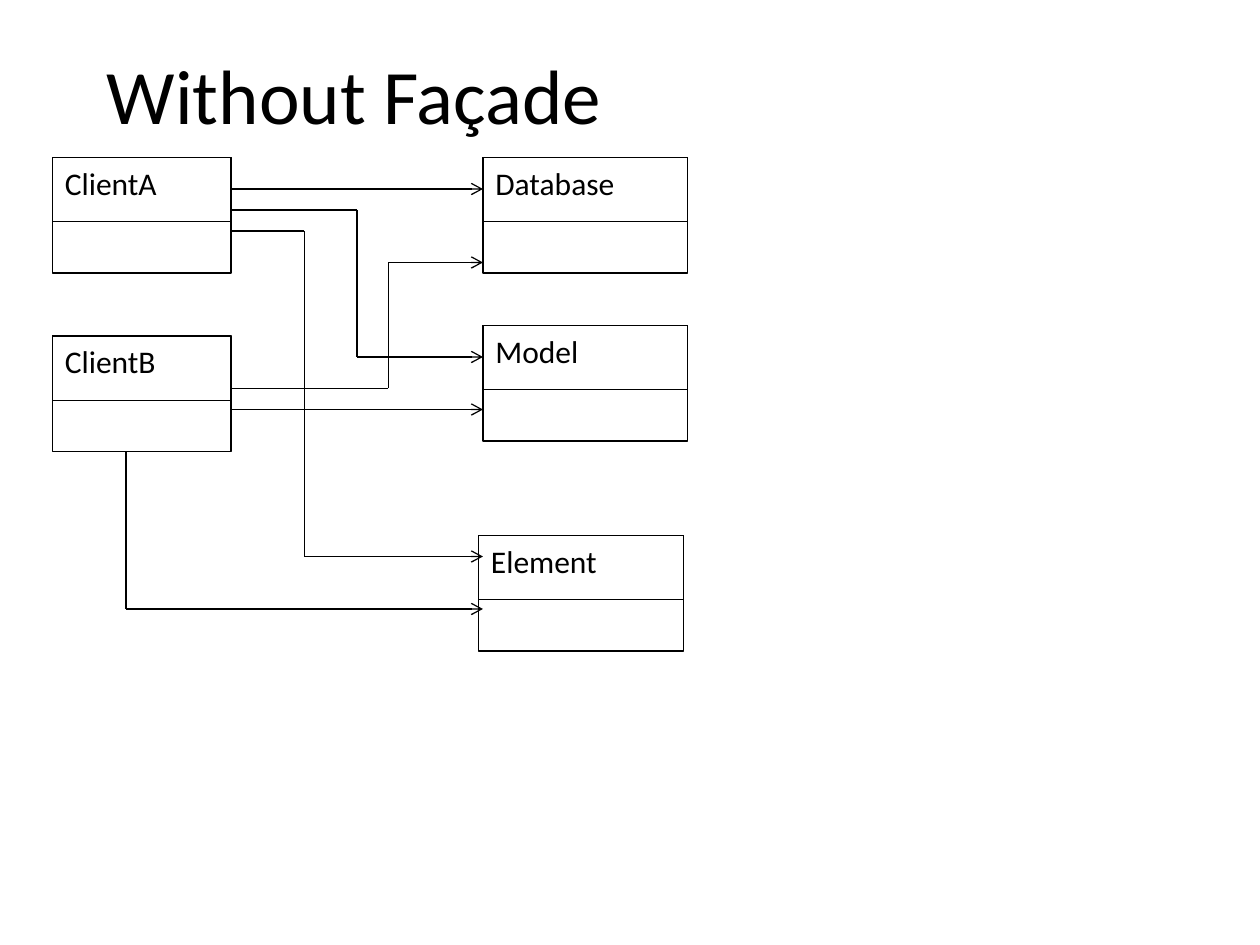
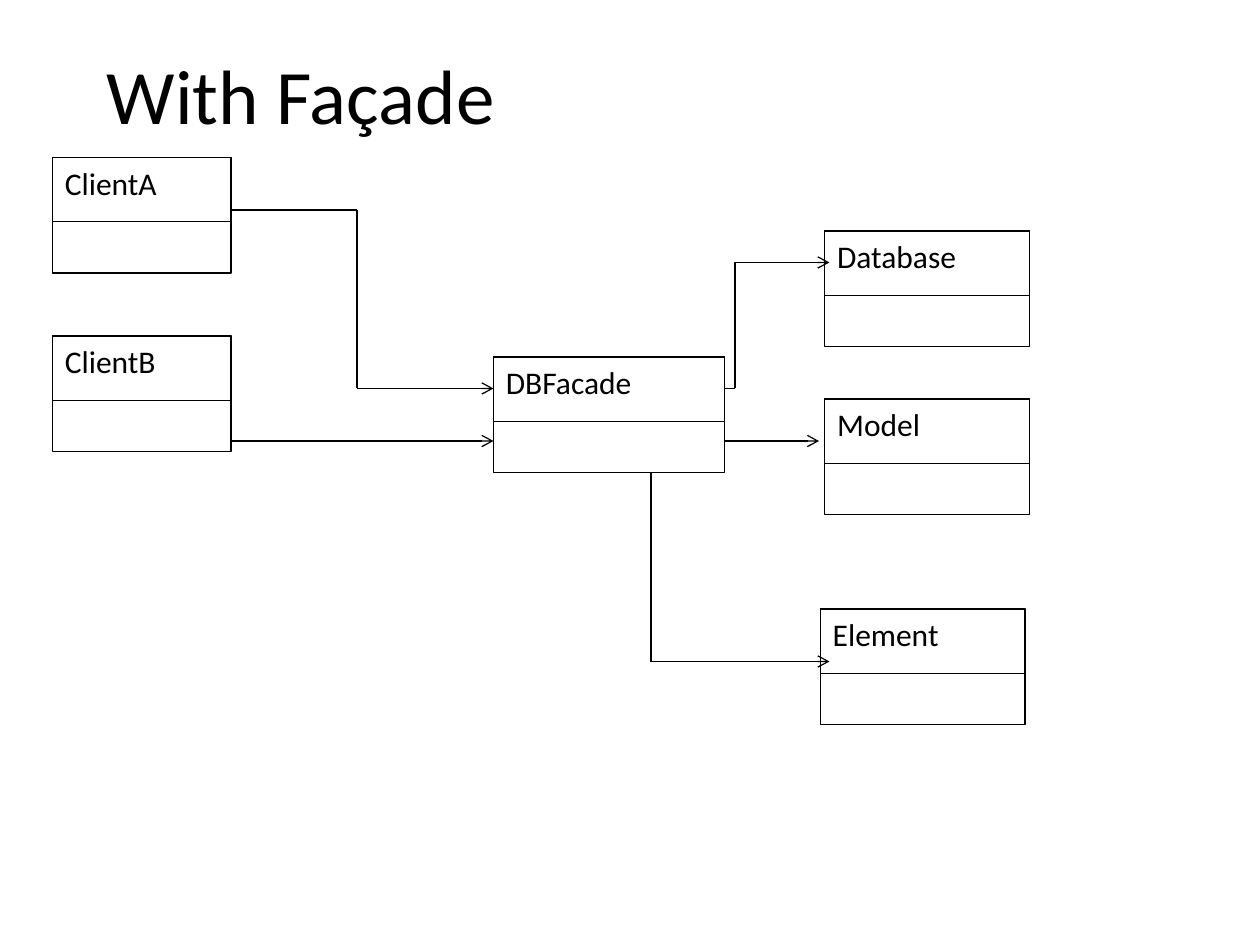
from dataclasses import dataclass
from itertools import pairwise

from lxml import etree
from pptx import Presentation
from pptx.dml.color import RGBColor
from pptx.enum.shapes import MSO_CONNECTOR, MSO_SHAPE
from pptx.enum.text import MSO_ANCHOR, PP_ALIGN
from pptx.oxml.ns import qn
from pptx.util import Pt

RECTANGLE = MSO_SHAPE.RECTANGLE
STRAIGHT = MSO_CONNECTOR.STRAIGHT
TOP, MIDDLE = MSO_ANCHOR.TOP, MSO_ANCHOR.MIDDLE
LEFT = PP_ALIGN.LEFT


@dataclass(frozen=True)
class Theme:
    ink: RGBColor = RGBColor(0, 0, 0)
    paper: RGBColor = RGBColor(255, 255, 255)
    font: str = "Calibri"
    title_size: float = 44
    class_size: float = 18
    line_width: float = 0.75


THEME = Theme()
BLANK_LAYOUT = 6

# Class box measures in points
CLASS_HEIGHT = 66
NAME_HEIGHT = 36.7
CLIENT_WIDTH = 102
SUBSYSTEM_WIDTH = 117
FACADE_WIDTH = 132

# Class boxes: name, left, top, width
CLIENTS = [
    ("ClientA", 30, 90, CLIENT_WIDTH),
    ("ClientB", 30, 192, CLIENT_WIDTH),
]
FACADE = ("DBFacade", 282, 204, FACADE_WIDTH)
# Subsystem classes: name, offset from the subsystem's corner
SUBSYSTEM = [("Database", 0, 0), ("Model", 0, 96), ("Element", -2.5, 216)]

# Routes: corner points, with the arrowhead on the last one
DIRECT_ROUTES = [
    [(132, 108), (276, 108)],
    [(132, 120), (204, 120), (204, 204), (276, 204)],
    [(132, 132), (174, 132), (174, 318), (276, 318)],
    [(132, 222), (222, 222), (222, 150), (276, 150)],
    [(132, 234), (276, 234)],
    [(72, 258), (72, 348), (276, 348)],
]
FACADE_ROUTES = [
    [(132, 120), (204, 120), (204, 222), (282, 222)],
    [(132, 252), (282, 252)],
    [(414, 222), (420, 222), (420, 150), (474, 150)],
    [(414, 252), (468, 252)],
    [(372, 270), (372, 378), (474, 378)],
]


def write(shape, text, size, anchor):
    frame = shape.text_frame
    frame.word_wrap = True
    frame.vertical_anchor = anchor
    paragraph = frame.paragraphs[0]
    paragraph.alignment = LEFT
    run = paragraph.add_run()
    run.text = text
    run.font.name = THEME.font
    run.font.size = Pt(size)
    run.font.color.rgb = THEME.ink
    return paragraph


def style_line(line):
    line.color.rgb = THEME.ink
    line.width = Pt(THEME.line_width)


def add_title(slide, text):
    title = slide.shapes.add_textbox(Pt(54), Pt(12), Pt(612), Pt(90))
    paragraph = write(title, text, THEME.title_size, MIDDLE)
    paragraph.line_spacing = 0.9


def add_outline(shapes, left, top, width, height):
    outline = shapes.add_shape(RECTANGLE, Pt(left), Pt(top), Pt(width), Pt(height))
    outline.shadow.inherit = False
    outline.fill.background()
    style_line(outline.line)
    return outline


def add_class(slide, name, left, top, width):
    group = slide.shapes.add_group_shape()
    add_outline(group.shapes, left, top, width, CLASS_HEIGHT)
    name_box = add_outline(group.shapes, left, top, width, NAME_HEIGHT)
    write(name_box, name, THEME.class_size, TOP)


def add_segment(slide, start, end):
    x1, y1 = start
    x2, y2 = end
    segment = slide.shapes.add_connector(STRAIGHT, Pt(x1), Pt(y1), Pt(x2), Pt(y2))
    style_line(segment.line)
    etree.SubElement(segment._element.spPr, qn("a:effectLst"))
    return segment


def add_route(slide, points):
    segments = [add_segment(slide, *ends) for ends in pairwise(points)]
    outline = segments[-1].line._get_or_add_ln()
    etree.SubElement(outline, qn("a:tailEnd"), type="arrow")


def add_diagram_slide(presentation, title, classes, routes):
    slide = presentation.slides.add_slide(presentation.slide_layouts[BLANK_LAYOUT])
    slide.background.fill.solid()
    slide.background.fill.fore_color.rgb = THEME.paper
    add_title(slide, title)
    for class_box in classes:
        add_class(slide, *class_box)
    for points in routes:
        add_route(slide, points)


def subsystem_at(left, top):
    return [(name, left + dx, top + dy, SUBSYSTEM_WIDTH) for name, dx, dy in SUBSYSTEM]


def main():
    presentation = Presentation()
    presentation.slide_width, presentation.slide_height = Pt(720), Pt(540)

    # Clients reach every subsystem class themselves
    add_diagram_slide(presentation, "Without Façade",
                      CLIENTS + subsystem_at(276, 90), DIRECT_ROUTES)
    # Clients go through the facade
    add_diagram_slide(presentation, "With Façade",
                      CLIENTS + subsystem_at(471.3, 132) + [FACADE], FACADE_ROUTES)

    presentation.save("out.pptx")


if __name__ == "__main__":
    main()
